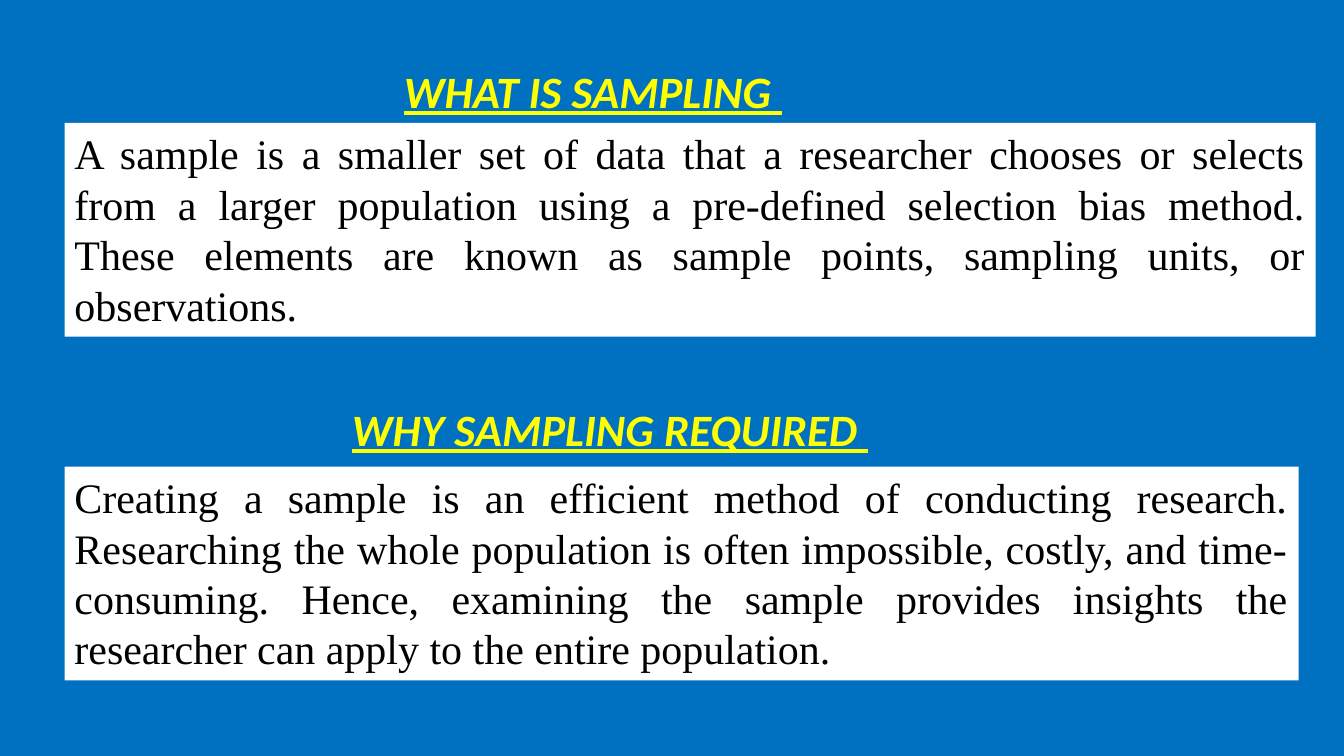
from pptx import Presentation
from pptx.dml.color import RGBColor
from pptx.enum import shapes, text
from pptx.util import Inches, Pt

HUES = {"back": "0070C0", "panel": "FFFFFF", "head": "FFFF00", "body": "000000"}
HEAD = {"name": "Calibri", "size": Pt(32), "bold": True, "italic": True, "underline": True}
BODY = {"name": "Times New Roman", "size": Pt(30), "bold": False}

# heading, its left and top, body, its top and width
PARTS = [
    ("WHAT IS SAMPLING ", 2.99, 0.64,
     "A sample is a smaller set of data that a researcher chooses or selects "
     "from a larger population using a pre-defined selection bias method. "
     "These elements are known as sample points, sampling units, or observations.",
     1.22, 12.41),
    ("WHY SAMPLING REQUIRED ", 3.16, 3.99,
     "Creating a sample is an efficient method of conducting research. "
     "Researching the whole population is often impossible, costly, and "
     "time-consuming. Hence, examining the sample provides insights the "
     "researcher can apply to the entire population.",
     4.63, 12.24),
]


def write(shape, words, style, hue, align, anchor):
    frame = shape.text_frame
    frame.word_wrap = True
    frame.vertical_anchor = anchor
    para = frame.paragraphs[0]
    para.alignment = align
    run = para.add_run()
    run.text = words
    for key, val in style.items():
        setattr(run.font, key, val)
    run.font.color.rgb = RGBColor.from_string(HUES[hue])
    return para


prs = Presentation()
prs.slide_width = Inches(13.33)
prs.slide_height = Inches(7.5)
slide = prs.slides.add_slide(prs.slide_layouts[6])
slide.background.fill.solid()
slide.background.fill.fore_color.rgb = RGBColor.from_string(HUES["back"])

for title, left, top, words, low, width in PARTS:
    panel = slide.shapes.add_shape(shapes.MSO_SHAPE.RECTANGLE, Inches(0.64),
                                   Inches(low), Inches(width), Inches(2.12))
    panel.shadow.inherit = False
    panel.fill.solid()
    panel.fill.fore_color.rgb = RGBColor.from_string(HUES["panel"])
    panel.line.fill.background()
    write(panel, words, BODY, "body", text.PP_ALIGN.JUSTIFY, text.MSO_ANCHOR.TOP)

    head = slide.shapes.add_textbox(Inches(left), Inches(top), Inches(5.78), Inches(0.59))
    para = write(head, title, HEAD, "head", text.PP_ALIGN.CENTER, text.MSO_ANCHOR.MIDDLE)
    para.line_spacing = 0.9

prs.save("out.pptx")
